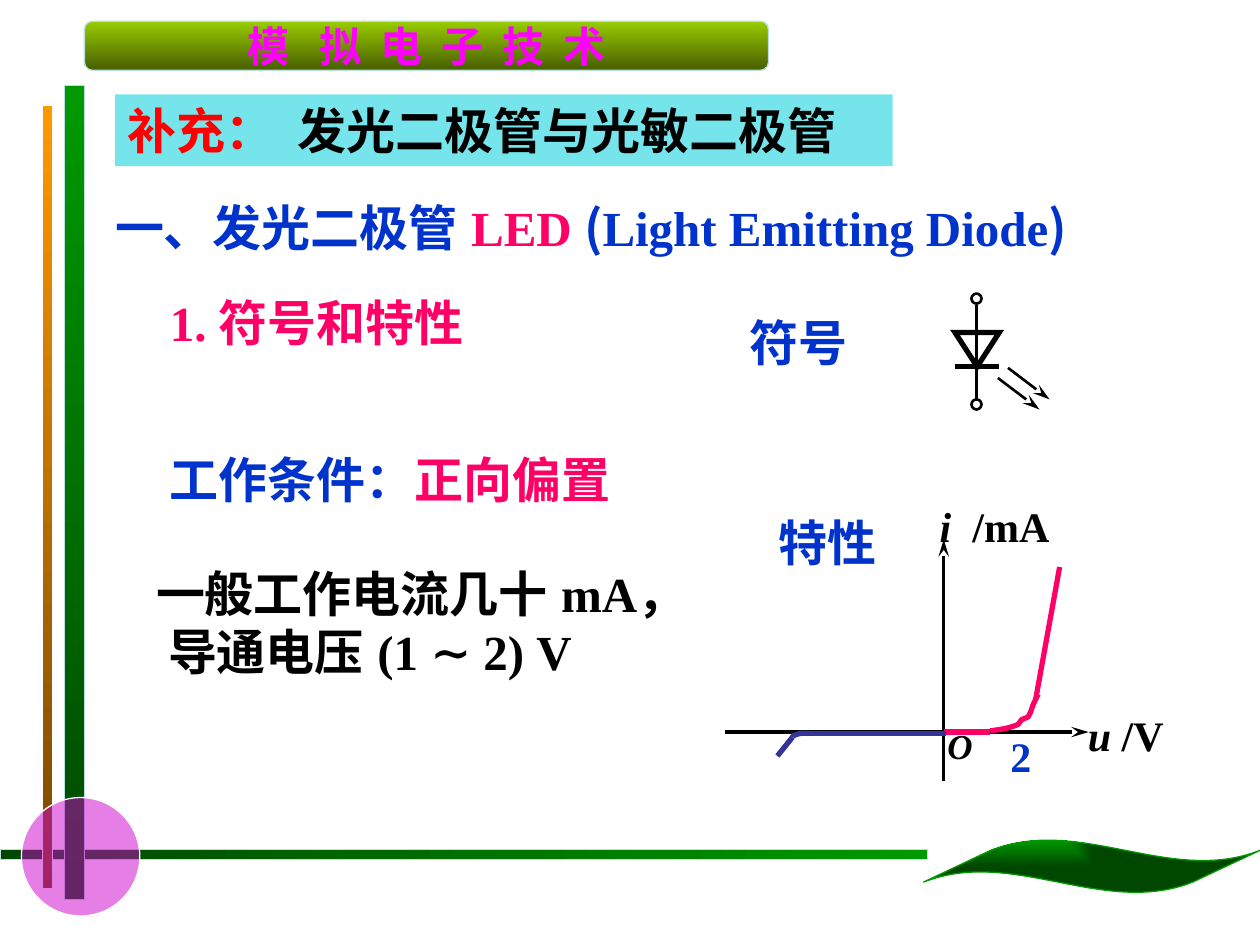
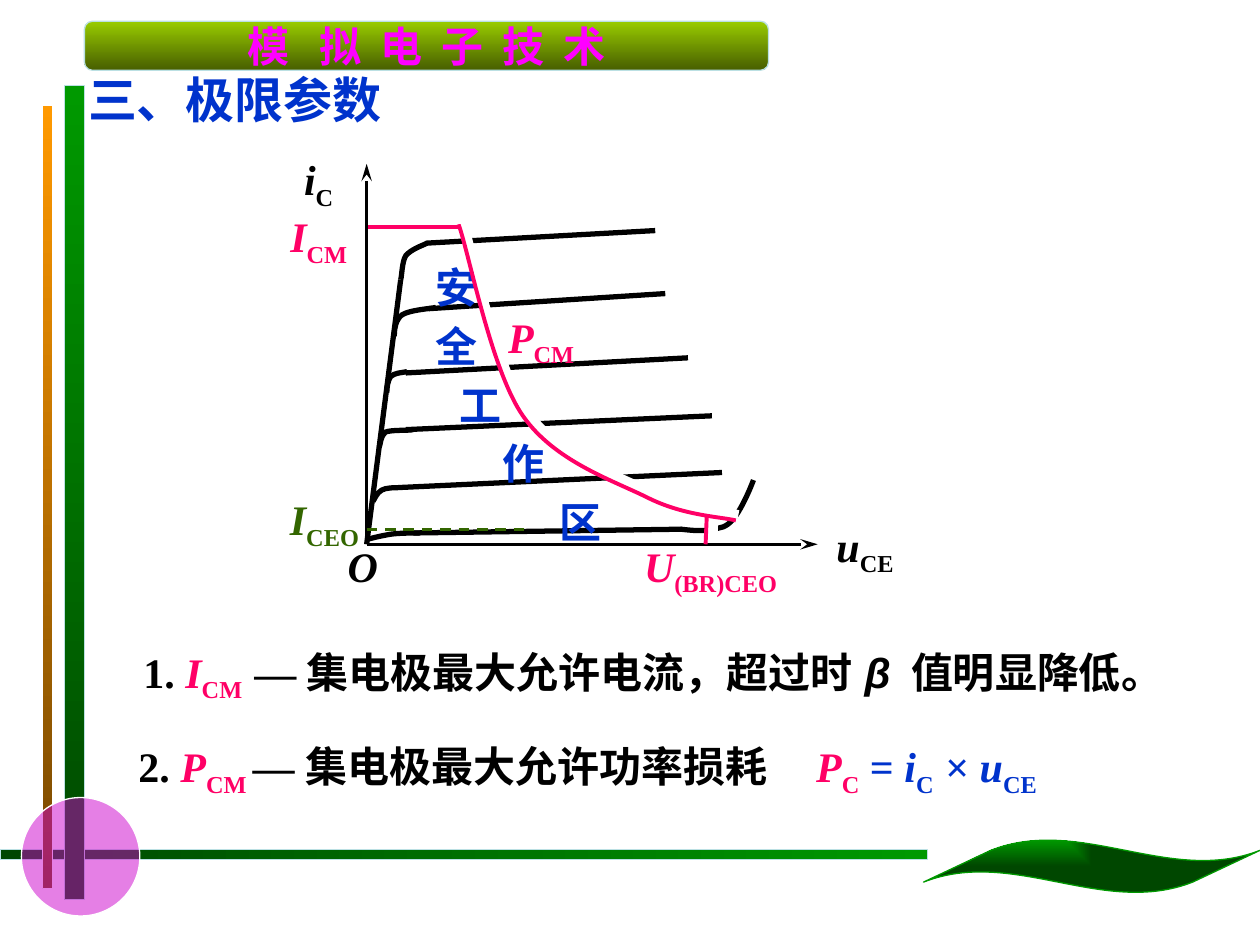
from dataclasses import dataclass
from lxml import etree
from pptx import Presentation
from pptx.dml.color import RGBColor
from pptx.enum.dml import MSO_LINE
from pptx.enum.shapes import MSO_CONNECTOR, MSO_SHAPE
from pptx.enum.text import MSO_ANCHOR, MSO_AUTO_SIZE, PP_ALIGN
from pptx.oxml.ns import qn
from pptx.util import Inches, Pt

RECT, OVAL, WAVE = MSO_SHAPE.RECTANGLE, MSO_SHAPE.OVAL, MSO_SHAPE.WAVE
BANNER, TRIANGLE = MSO_SHAPE.FLOWCHART_ALTERNATE_PROCESS, MSO_SHAPE.ISOSCELES_TRIANGLE
STRAIGHT, DASH = MSO_CONNECTOR.STRAIGHT, MSO_LINE.DASH
LEFT, CENTER, MIDDLE = PP_ALIGN.LEFT, PP_ALIGN.CENTER, MSO_ANCHOR.MIDDLE
FIT = MSO_AUTO_SIZE.SHAPE_TO_FIT_TEXT


@dataclass(frozen=True)
class Theme:
    black: str = "000000"
    white: str = "FFFFFF"
    blue: str = "0033CC"
    pink: str = "FF0066"
    red: str = "FF0000"
    navy: str = "333399"
    olive: str = "336600"
    magenta: str = "FF00FF"
    violet: str = "CC00CC"
    cyan: str = "75E5EB"
    green: str = "009900"
    deep: str = "004700"
    orange: str = "FF9900"
    brown: str = "764700"
    lime: str = "99CC00"
    moss: str = "475E00"
    edge: str = "BBE0E3"
    serif: str = "Times New Roman"
    sans: str = "Arial"
    cjk: str = "Noto Sans CJK SC"
    head: int = 28
    body: int = 24
    small: int = 20


T = Theme()
prs = Presentation()
prs.slide_width, prs.slide_height = Inches(10), Inches(7.5)
COL, ROW = prs.slide_width / 100, prs.slide_height / 75


def write(tf, paras, size, align, indents=()):
    for i, runs in enumerate(paras):
        p = tf.paragraphs[0] if i == 0 else tf.add_paragraph()
        p.alignment = align
        if indents and indents[i]:
            p._p.get_or_add_pPr().set("marL", str(round(indents[i] * COL)))
        for text, color, flags, *gap in runs:
            r = p.add_run()
            r.text = text
            f = r.font
            f.size, f.bold, f.italic = Pt(size), True, "i" in flags
            f.color.rgb = RGBColor.from_string(color)
            f.name = T.cjk if "n" in flags else T.sans if "a" in flags else T.serif
            rPr = r._r.get_or_add_rPr()
            etree.SubElement(rPr, qn("a:ea")).set("typeface", T.cjk if "n" in flags else T.sans)
            if "s" in flags:
                rPr.set("baseline", "-25000")
            if gap:
                rPr.set("spc", str(round(gap[0] * 100)))


def stroke(s, pts, color, width, style=""):
    pts = [(round(x * COL), round(y * ROW)) for x, y in pts]
    if len(pts) == 2:
        sp = s.shapes.add_connector(STRAIGHT, *pts[0], *pts[1])
    else:
        fb = s.shapes.build_freeform(*pts[0])
        fb.add_line_segments(pts[1:], close=False)
        sp = fb.convert_to_shape()
        sp.fill.background()
        outline = next(sp._element.iter(qn("a:path")))
        steps = outline.findall(qn("a:lnTo"))
        for k in range(0, len(steps), 3):
            curve = etree.SubElement(outline, qn("a:cubicBezTo"))
            for step in steps[k:k + 3]:
                curve.append(step[0])
                outline.remove(step)
    sp.line.color.rgb = RGBColor.from_string(color)
    sp.line.width = Pt(width)
    if style == "dash":
        sp.line.dash_style = DASH
    spPr = sp._element.spPr
    if style == "arrow":
        etree.SubElement(spPr.find(qn("a:ln")), qn("a:tailEnd"), type="stealth", w="med", len="lg")
    etree.SubElement(spPr, qn("a:effectLst"))


frame = [
    (RECT, 0, 67.4, 73.6, 0.8, T.deep, T.green, 0, T.edge, 0.75),
    (RECT, 5.1, 6.8, 1.6, 64.6, T.green, T.deep, 270, T.edge, 0.75),
    (RECT, 3.35, 8.35, 0.8, 62.2, T.orange, T.brown, 270, T.white, 0.5),
    (OVAL, 1.7, 63.3, 9.4, 9.4, T.violet, None, 0, T.white, 0.75),
    (BANNER, 6.7, 1.68, 54.3, 3.9, T.lime, T.moss, 270, T.edge, 0.75),
    (WAVE, 73.3, 66.65, 26.7, 4.2, T.green, T.deep, 0, T.green, 0.75),
]
slides = [prs.slides.add_slide(prs.slide_layouts[6]) for _ in range(2)]
for s in slides:
    for kind, x, y, w, h, start, end, angle, edge, width in frame:
        sp = s.shapes.add_shape(kind, round(x * COL), round(y * ROW), round(w * COL), round(h * ROW))
        sp.shadow.inherit = False
        sp.line.color.rgb = RGBColor.from_string(edge)
        sp.line.width = Pt(width)
        if end:
            sp.fill.gradient()
            sp.fill.gradient_angle = angle
            for stop, color in zip(sp.fill.gradient_stops, (start, end)):
                stop.color.rgb = RGBColor.from_string(color)
        else:
            sp.fill.solid()
            sp.fill.fore_color.rgb = RGBColor.from_string(start)
            clr = sp._element.spPr.find(qn("a:solidFill")).find(qn("a:srgbClr"))
            etree.SubElement(clr, qn("a:alpha")).set("val", "50000")
        if kind == BANNER:
            tf = sp.text_frame
            tf.word_wrap, tf.vertical_anchor = False, MIDDLE
            write(tf, [[("模 ", T.magenta, "n", 5.9), ("拟 电 子 技 术", T.magenta, "n", 2.7)]],
                  T.body, CENTER)
        if kind == WAVE:
            sp.adjustments[0], sp.adjustments[1] = 0.206, -0.1
            grad = sp._element.spPr.find(qn("a:gradFill"))
            shade = etree.Element(qn("a:path"), path="rect")
            etree.SubElement(shade, qn("a:fillToRect"), r="100000", b="100000")
            grad.replace(grad.find(qn("a:lin")), shade)

led, limits = slides

sp = led.shapes.add_shape(RECT, round(9.15 * COL), round(7.5 * ROW), round(61.7 * COL), round(5.7 * ROW))
sp.shadow.inherit = False
sp.fill.solid()
sp.fill.fore_color.rgb = RGBColor.from_string(T.cyan)
sp.line.fill.background()
sp.text_frame.word_wrap = True
write(sp.text_frame, [[("补充：", T.red, ""), (" ", T.black, "", 5.6),
                       ("发光二极管与光敏二极管", T.black, "")]], T.head, LEFT)

for kind, x, y, w, h, width, fill in [
    (OVAL, 77.1, 23.3, 0.8, 0.8, 1.5, None),
    (TRIANGLE, 75.8, 26.4, 3.5, 2.7, 3, None),
    (OVAL, 77.1, 31.7, 0.8, 0.8, 1.5, T.white),
]:
    sp = led.shapes.add_shape(kind, round(x * COL), round(y * ROW), round(w * COL), round(h * ROW))
    sp.shadow.inherit = False
    sp.line.color.rgb = RGBColor.from_string(T.black)
    sp.line.width = Pt(width)
    if kind == TRIANGLE:
        sp.rotation = 180
        etree.SubElement(sp._element.spPr.find(qn("a:ln")), qn("a:miter"), lim="800000")
    if fill:
        sp.fill.solid()
        sp.fill.fore_color.rgb = RGBColor.from_string(fill)
    else:
        sp.fill.background()

led_strokes = [
    ([(75.8, 29.1), (79.3, 29.1)], T.black, 3),
    ([(77.5, 31.7), (77.5, 24.2)], T.black, 2.25),
    ([(79.2, 30), (82.5, 32.5)], T.black, 1.5, "arrow"),
    ([(80, 29.2), (83.3, 31.7)], T.black, 1.5, "arrow"),
    ([(57.5, 58.1), (86.4, 58.1)], T.black, 2, "arrow"),
    ([(74.9, 62), (74.9, 42.8)], T.black, 2, "arrow"),
    ([(78.6, 58), (79.4, 57.9), (80.1, 57.8), (80.8, 57.5), (80.9, 57.4), (81, 57.2), (81.1, 57.1),
      (81.3, 57), (81.5, 57), (81.6, 56.9), (81.8, 56.7), (81.8, 56.4), (81.9, 56.2),
      (82, 55.9), (82.1, 55.7), (82.2, 55.5), (82.3, 55.3), (82.4, 55.1), (82.4, 55.1)], T.pink, 3),
    ([(82.2, 55.5), (84.1, 45)], T.pink, 3),
    ([(74.9, 58.1), (78.6, 58.1)], T.pink, 3),
    ([(75.1, 58.2), (64.2, 58.2)], T.navy, 3),
    ([(64.3, 58.2), (64, 58.2), (63.8, 58.2), (63.6, 58.2), (63.1, 58.3), (62.9, 58.4), (62.9, 58.5)],
     T.navy, 3),
    ([(62.9, 58.5), (61.7, 60)], T.navy, 3),
]
led_texts = [
    (7.5, 15.2, 78.8, 5.7, T.head, CENTER, False,
     [[("一、发光二极管 ", T.blue, ""), ("LED ", T.pink, ""), ("(", T.blue, "n"),
       ("Light Emitting Diode", T.blue, ""), (")", T.blue, "n")]]),
    (12.5, 22.7, 30, 5.7, T.head, LEFT, True, [[("1. 符号和特性", T.pink, "")]]),
    (12.5, 35.2, 39.8, 5.7, T.head, LEFT, True,
     [[("工作条件：", T.blue, ""), ("正向偏置", T.pink, "")]]),
    (11.4, 44.2, 44.5, 10.3, T.head, LEFT, True,
     [[("一般工作电流几十 mA，", T.black, "")], [("导通电压 (1 ∼ 2) V", T.black, "")]], 0, 0.95),
    (58.5, 24.3, 9.9, 5.7, T.head, LEFT, False, [[("符号", T.blue, "")]]),
    (60.8, 40.2, 9.9, 5.7, T.head, LEFT, False, [[("特性", T.blue, "")]]),
    (84.2, 55.8, 10.3, 5, T.body, CENTER, True, [[("u ", T.black, "i"), ("/V", T.black, "")]]),
    (73.6, 39.2, 12, 5, T.body, LEFT, True,
     [[("i", T.black, "i"), (" ", T.black, "i", 6), ("/mA", T.black, "")]]),
    (74.2, 57, 4, 4.3, T.small, CENTER, False, [[("O", T.black, "i")]]),
    (79.2, 57.5, 3.7, 5, T.body, LEFT, False, [[("2", T.blue, "")]]),
]

curves = [
    [(29.1, 43.2), (31.8, 22.2)],
    [(33.8, 19.3), (52, 18.3)],
    [(31.8, 22.2), (31.9, 21.9), (31.9, 20.8), (32.2, 20.3), (32.6, 19.8), (33.5, 19.5), (33.9, 19.3)],
    [(34, 24.5), (52.8, 23.3)],
    [(31.3, 26.7), (31.3, 26.1), (31.4, 25.4), (31.9, 25), (32.5, 24.6), (34.2, 24.5), (34.6, 24.4)],
    [(32.2, 29.6), (54.6, 28.4)],
    [(32.2, 34.1), (56.5, 33)],
    [(31.6, 38.7), (57.3, 37.5)],
    [(32.8, 42.3), (54.1, 42)],
    [(29.2, 42.8), (29.5, 42.7), (30.4, 42.5), (31, 42.4), (31.7, 42.3), (32.8, 42.3), (33.3, 42.3)],
    [(30.7, 31.2), (30.7, 30.7), (30.8, 30.2), (31, 29.9), (31.3, 29.6), (31.8, 29.6), (32.3, 29.5)],
    [(30.1, 35.5), (30.2, 35.3), (30.2, 34.6), (30.6, 34.3), (31.1, 34.1), (32.4, 34.2), (32.8, 34.1)],
    [(29.6, 39.8), (29.7, 39.7), (29.9, 39.1), (30.3, 38.9), (30.6, 38.7), (31.4, 38.7), (31.6, 38.7)],
    [(54, 42), (54.9, 42.1), (55.8, 42.2), (56.5, 42), (57.2, 41.9), (57.6, 41.9), (58.2, 41.2),
     (58.7, 40.6), (59.3, 39.4), (59.8, 38.1)],
]
power_curve = [(36.4, 17.8), (37.3, 20.4), (39, 29.4), (41.5, 33), (44, 36.6), (48.6, 38.1),
               (51.4, 39.5), (54.2, 40.9), (57, 41), (58.4, 41.3)]
limit_strokes = [
    ([(29.1, 43.2), (64.9, 43.2)], T.black, 2, "arrow"),
    ([(29.1, 43.2), (29.1, 13)], T.black, 2, "arrow"),
    *[(pts, T.black, 3) for pts in curves],
    ([(56.6, 40.3), (56.6, 43.1)], T.white, 6),
    ([(29.1, 42), (41.6, 42)], T.olive, 1.5, "dash"),
    ([(x + 0.2, y - 0.4) for x, y in power_curve], T.white, 6),
]
limit_texts = [
    (6, 5, 37.1, 5.7, T.head, LEFT, True, [[("三、极限参数", T.blue, "")]]),
    (10.4, 50.8, 86.3, 5, T.body, LEFT, True,
     [[("1. ", T.black, ""), ("I", T.pink, "i"), ("CM", T.pink, "s"), (" ", T.pink, "s", 3.4),
       ("— 集电极最大允许电流，超过时 ", T.black, ""), ("β ", T.black, "ia", 2.5),
       ("值明显降低。", T.black, "")]]),
    (10, 58.3, 56.8, 5, T.body, LEFT, True,
     [[("2. ", T.black, ""), ("P", T.pink, "i"), ("CM ", T.pink, "s"),
       ("— 集电极最大允许功率损耗", T.black, "")]]),
    (63.8, 58.3, 35.4, 5, T.body, LEFT, True,
     [[("P", T.pink, "i"), ("C", T.pink, "s"), (" = ", T.blue, ""), ("i", T.blue, "i"),
       ("C ", T.blue, "s", 1.6), ("× ", T.blue, ""), ("u", T.blue, "i"), ("CE", T.blue, "s")]]),
    (21.8, 11.7, 7, 9, T.body, CENTER, False,
     [[("i", T.black, "i"), ("C", T.black, "s")], [("I", T.pink, "i"), ("CM", T.pink, "s")]]),
    (26.6, 42.4, 4.4, 5, T.body, CENTER, False, [[("O", T.black, "i")]]),
    *[(x, y, w, 5, T.body, CENTER, False, [[(name, color, "i"), (sub, color, "s")]])
      for x, y, w, name, sub, color in [
          (49.5, 42.4, 13.8, "U", "(BR)CEO", T.pink),
          (65.2, 40.8, 6.9, "u", "CE", T.black),
          (39.1, 24.2, 7.7, "P", "CM", T.pink),
          (21.7, 38.7, 8.1, "I", "CEO", T.olive)]],
    (22.1, 21.2, 28.3, 24, T.body, CENTER, True,
     [[(c, T.blue, "")] for c in "安全工作区"], 0, 0, 3.8, 10.6, 19.6),
]
limit_overlay = [
    ([(29.2, 18), (36.5, 18)], T.pink, 2.25),
    ([(56.1, 40.8), (56, 43.2)], T.pink, 2.25),
    (power_curve, T.pink, 2.25),
    ([(29.3, 17.4), (36.6, 17.4)], T.white, 6),
]

for s, strokes, texts, overlay in [(led, led_strokes, led_texts, []),
                                   (limits, limit_strokes, limit_texts, limit_overlay)]:
    for item in strokes:
        stroke(s, *item)
    for x, y, w, h, size, align, wrap, paras, *indents in texts:
        sp = s.shapes.add_textbox(round(x * COL), round(y * ROW), round(w * COL), round(h * ROW))
        tf = sp.text_frame
        tf.word_wrap, tf.auto_size = wrap, FIT
        write(tf, paras, size, align, indents)
        if len(paras) == 5:
            for i, p in enumerate(tf.paragraphs):
                p.line_spacing = 0.75
                p.space_before = Pt(12 if i else 0)
    for item in overlay:
        stroke(s, *item)

prs.save("out.pptx")
